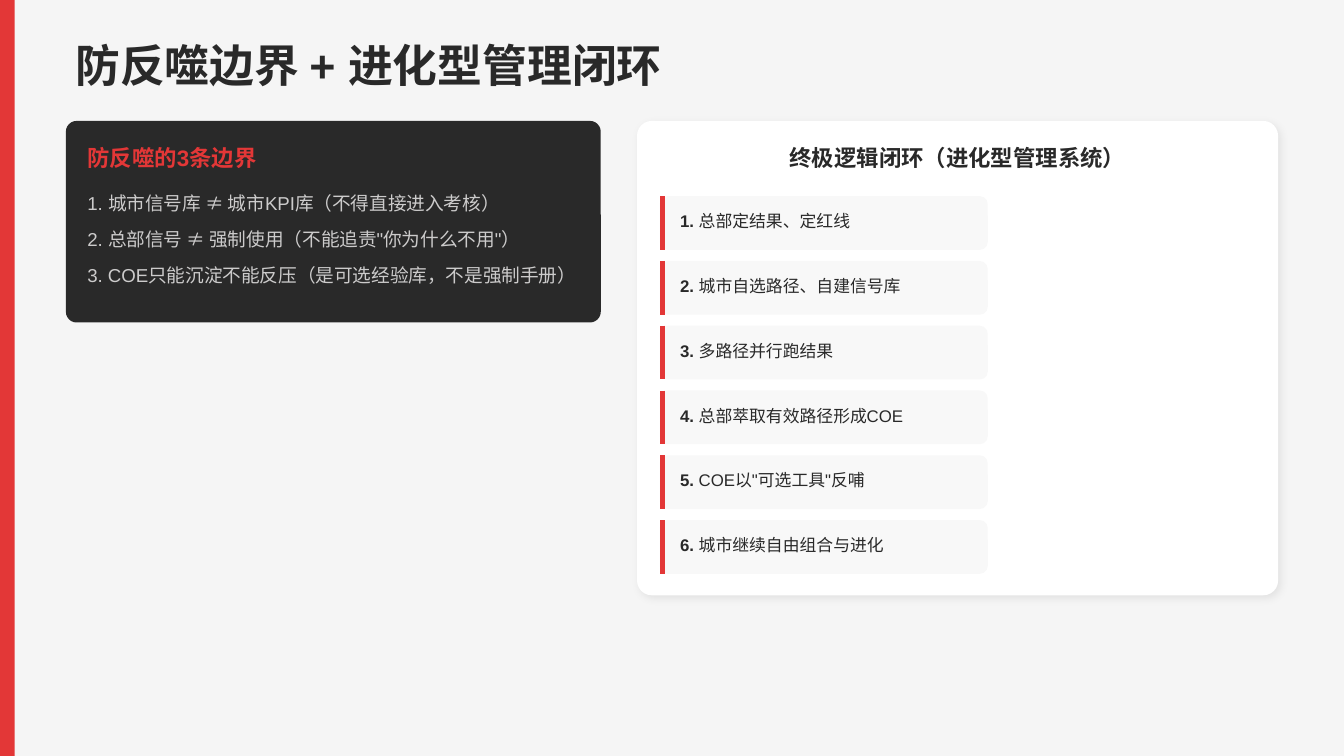
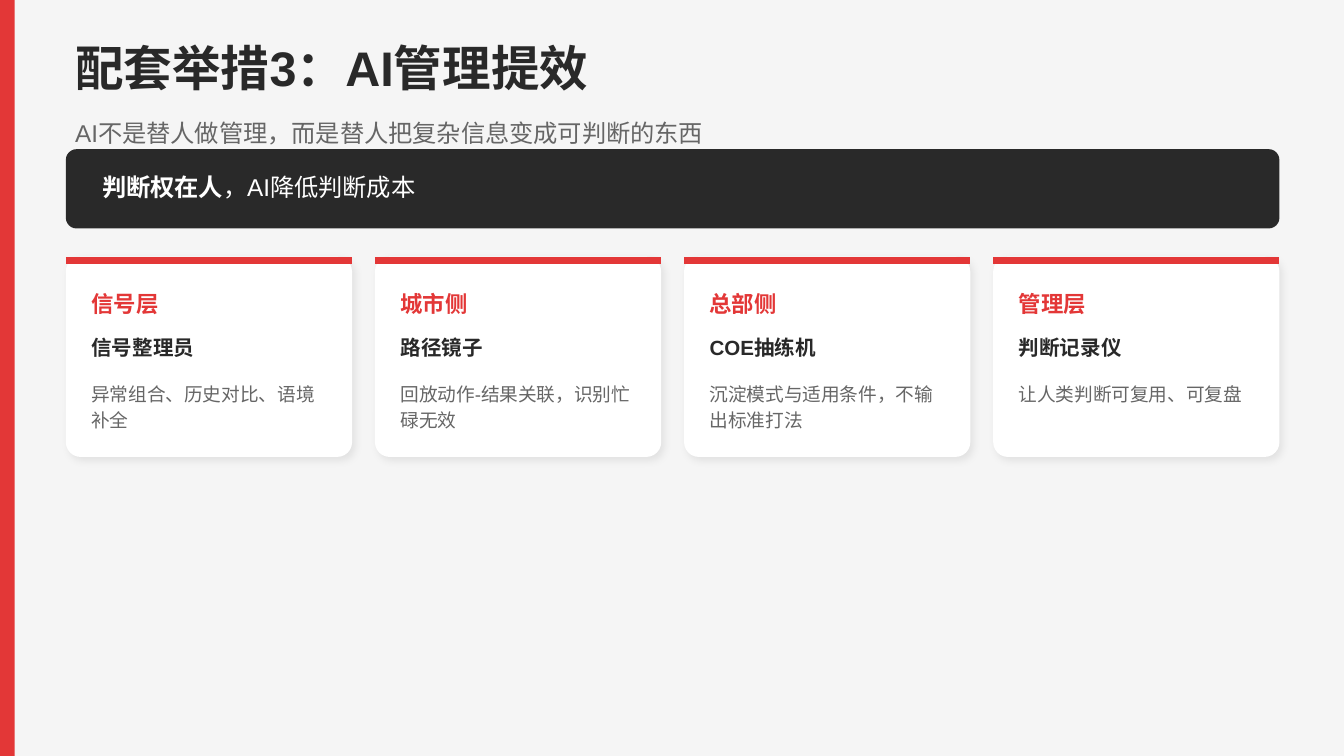
from lxml import etree
from pptx import Presentation
from pptx.dml.color import RGBColor
from pptx.enum.shapes import MSO_CONNECTOR, MSO_SHAPE
from pptx.enum.text import MSO_ANCHOR, MSO_AUTO_SIZE, PP_ALIGN
from pptx.oxml import parse_xml
from pptx.oxml.ns import qn
from pptx.util import Inches, Pt

RECTANGLE = MSO_SHAPE.RECTANGLE
ROUNDED = MSO_SHAPE.ROUNDED_RECTANGLE
STRAIGHT = MSO_CONNECTOR.STRAIGHT
LEFT, CENTER = PP_ALIGN.LEFT, PP_ALIGN.CENTER

FONT = "Arial"
PAPER, WHITE, ROW_FILL = "F5F5F5", "FFFFFF", "F8F8F8"
RED, INK, GREY, PALE = "E33737", "292929", "666666", "CCCBCB"
SLIDE_WIDTH = 10
SLIDE_HEIGHT = SLIDE_WIDTH * 9 / 16
MARGIN = 0.49
CONTENT_WIDTH = 9.03
CARD_RADIUS, DARK_RADIUS, ROW_RADIUS = 0.11, 0.08, 0.06

SHADOW = (
    '<a:outerShdw xmlns:a="http://schemas.openxmlformats.org/drawingml/2006/main" '
    'blurRad="57150" dist="26670" dir="2700000" algn="bl" rotWithShape="0">'
    '<a:srgbClr val="000000"><a:alpha val="8000"/></a:srgbClr></a:outerShdw>'
)

BOUNDARIES = [
    "1. 城市信号库 ≠ 城市KPI库（不得直接进入考核）",
    "2. 总部信号 ≠ 强制使用（不能追责\"你为什么不用\"）",
    "3. COE只能沉淀不能反压（是可选经验库，不是强制手册）",
]
LOOP_STEPS = [
    "总部定结果、定红线",
    "城市自选路径、自建信号库",
    "多路径并行跑结果",
    "总部萃取有效路径形成COE",
    "COE以\"可选工具\"反哺",
    "城市继续自由组合与进化",
]
AI_ROLES = [
    ("信号层", "信号整理员", "异常组合、历史对比、语境补全"),
    ("城市侧", "路径镜子", "回放动作-结果关联，识别忙碌无效"),
    ("总部侧", "COE抽练机", "沉淀模式与适用条件，不输出标准打法"),
    ("管理层", "判断记录仪", "让人类判断可复用、可复盘"),
]


def color(value):
    return RGBColor.from_string(value)


def set_frame(shape, box):
    """Move a text shape into the box, without insets or autofit."""
    shape.left, shape.top, shape.width, shape.height = map(Inches, box)
    frame = shape.text_frame
    frame.margin_left = frame.margin_right = 0
    frame.margin_top = frame.margin_bottom = 0
    frame.word_wrap = True
    frame.auto_size = MSO_AUTO_SIZE.NONE
    frame.vertical_anchor = MSO_ANCHOR.TOP
    return frame


def style_paragraph(para, size, ink, bold=False, align=LEFT):
    para.alignment = align
    para.space_before = Pt(0)
    para.font.name = FONT
    para.font.size = Pt(size)
    para.font.bold = bold
    para.font.color.rgb = color(ink)


def add_text(page, box, text, size, ink, bold=False, align=LEFT):
    para = set_frame(page.shapes.add_textbox(0, 0, 0, 0), box).paragraphs[0]
    para.text = text
    style_paragraph(para, size, ink, bold, align)
    return para


def add_lead_text(page, box, lead, rest, size, ink):
    """Add one line of text that opens with a bold lead."""
    para = add_text(page, box, lead, size, ink)
    para.runs[0].font.bold = True
    para.add_run().text = rest


def fill_body(page, box, lines, size, ink):
    """Place unbulleted lines in the body placeholder."""
    body = page.placeholders[1]
    frame = set_frame(body, box)
    frame.text = "\n".join(lines)
    for para in frame.paragraphs:
        style_paragraph(para, size, ink)
        properties = para._p.get_or_add_pPr()
        properties.set("marL", "0")
        properties.set("indent", "0")
        bullet = etree.Element(qn("a:buNone"))
        properties.find(qn("a:defRPr")).addprevious(bullet)
    return body


def add_panel(page, box, fill, radius=0, shadow=False):
    kind = ROUNDED if radius else RECTANGLE
    panel = page.shapes.add_shape(kind, *map(Inches, box))
    if radius:
        panel.adjustments[0] = radius / min(box[2:])
    panel.fill.solid()
    panel.fill.fore_color.rgb = color(fill)
    panel.line.fill.background()
    panel.shadow.inherit = False
    if shadow:
        effects = panel.element.spPr.find(qn("a:effectLst"))
        effects.append(parse_xml(SHADOW))
    return panel


def add_accent(page, start, end, weight):
    accent = page.shapes.add_connector(STRAIGHT, *map(Inches, start + end))
    accent.line.color.rgb = color(RED)
    accent.line.width = Pt(weight)
    etree.SubElement(accent.element.spPr, qn("a:effectLst"))


def add_page(deck, title, size, height):
    """Add a slide with the red side band and its title."""
    page = deck.slides.add_slide(deck.slide_layouts[1])
    add_panel(page, (0, 0, 0.11, SLIDE_HEIGHT), RED)
    frame = set_frame(page.shapes.title, (0.56, 0.28, 9.07, height))
    frame.text = title
    style_paragraph(frame.paragraphs[0], size, INK, bold=True)
    return page


def add_boundaries(page, box):
    left, top, width, _ = box
    panel = add_panel(page, box, INK, DARK_RADIUS)
    text_left, text_width = left + 0.16, width - 0.26
    add_text(page, (text_left, top + 0.17, text_width, 0.25),
             "防反噬的3条边界", 12, RED, bold=True)
    body = fill_body(page, (text_left, top + 0.5, text_width, 0.8),
                     BOUNDARIES, 10, PALE)
    for para in body.text_frame.paragraphs:
        para.line_spacing = Pt(14.2)
        para.space_after = Pt(5)
    panel.element.addnext(body.element)


def add_loop_step(page, box, number, step):
    left, top, width, height = box
    add_panel(page, box, ROW_FILL, ROW_RADIUS)
    add_accent(page, (left + 0.02, top), (left + 0.02, top + height), 3)
    add_lead_text(page, (left + 0.15, top + 0.11, width - 0.22, 0.18),
                  f"{number}.", f" {step}", 9, INK)


def add_loop(page, box):
    left, top, width, height = box
    add_panel(page, box, WHITE, CARD_RADIUS, shadow=True)
    add_text(page, (left + 0.12, top + 0.17, width - 0.24, 0.25),
             "终极逻辑闭环（进化型管理系统）", 12, INK, bold=True, align=CENTER)
    first, row_height, bottom = 0.56, 0.4, 0.16
    pitch = (height - first - row_height - bottom) / (len(LOOP_STEPS) - 1)
    for index, step in enumerate(LOOP_STEPS):
        row = (left + 0.17, top + first + index * pitch, 2.44, row_height)
        add_loop_step(page, row, index + 1, step)


def add_principle(page, box):
    left, top, width, _ = box
    add_panel(page, box, INK, DARK_RADIUS)
    add_lead_text(page, (left + 0.27, top + 0.17, width - 0.39, 0.26),
                  "判断权在人", "，AI降低判断成本", 13, WHITE)


def add_role_card(page, box, layer, role, duty):
    left, top, width, _ = box
    add_panel(page, box, WHITE, CARD_RADIUS, shadow=True)
    add_accent(page, (left, top + 0.03), (left + width, top + 0.03), 3.75)
    text_left, text_width = left + 0.19, width - 0.35
    add_text(page, (text_left, top + 0.25, text_width, 0.25),
             layer, 12, RED, bold=True)
    add_text(page, (text_left, top + 0.58, text_width, 0.22),
             role, 11, INK, bold=True)
    para = add_text(page, (text_left, top + 0.91, text_width, 0.39),
                    duty, 10, GREY)
    para.line_spacing = Pt(14)


def add_role_cards(page, box):
    left, top, width, height = box
    card_width = 2.13
    pitch = (width - card_width) / (len(AI_ROLES) - 1)
    for index, role in enumerate(AI_ROLES):
        card = (left + index * pitch, top, card_width, height)
        add_role_card(page, card, *role)


def build_boundary_page(deck):
    page = add_page(deck, "防反噬边界 + 进化型管理闭环", 24, 0.48)
    add_boundaries(page, (MARGIN, 0.9, 3.98, 1.5))
    add_loop(page, (4.74, 0.9, 4.77, 3.53))


def build_ai_page(deck):
    page = add_page(deck, "配套举措3：AI管理提效", 26, 0.52)
    fill_body(page, (0.56, 0.88, 9.07, 0.26),
              ["AI不是替人做管理，而是替人把复杂信息变成可判断的东西"], 13, GREY)
    add_principle(page, (MARGIN, 1.11, CONTENT_WIDTH, 0.59))
    add_role_cards(page, (MARGIN, 1.91, CONTENT_WIDTH, 1.49))


def main():
    deck = Presentation()
    deck.slide_width = Inches(SLIDE_WIDTH)
    deck.slide_height = Inches(SLIDE_HEIGHT)
    background = deck.slide_master.background.fill
    background.solid()
    background.fore_color.rgb = color(PAPER)
    build_boundary_page(deck)
    build_ai_page(deck)
    deck.save("out.pptx")


if __name__ == "__main__":
    main()
